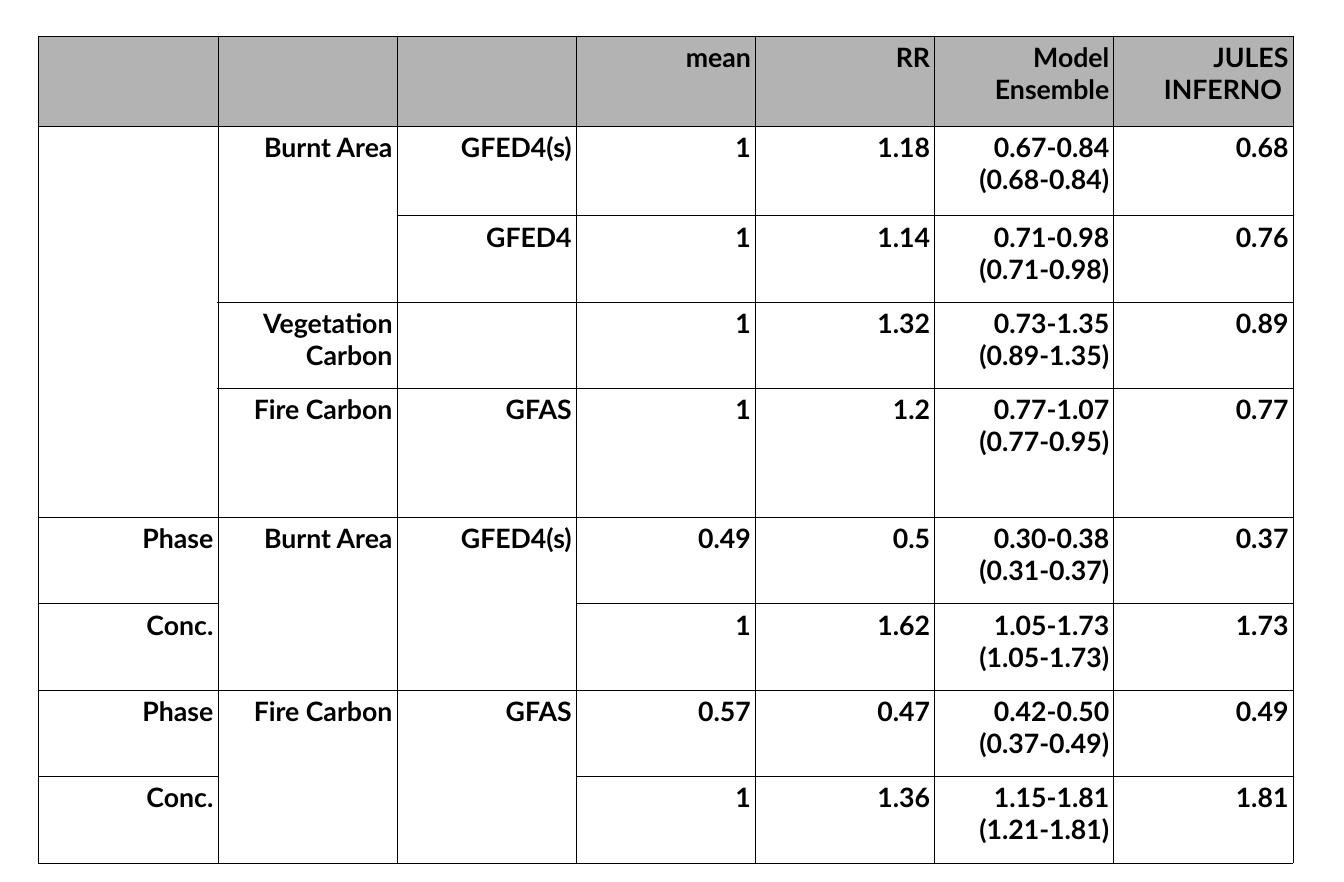
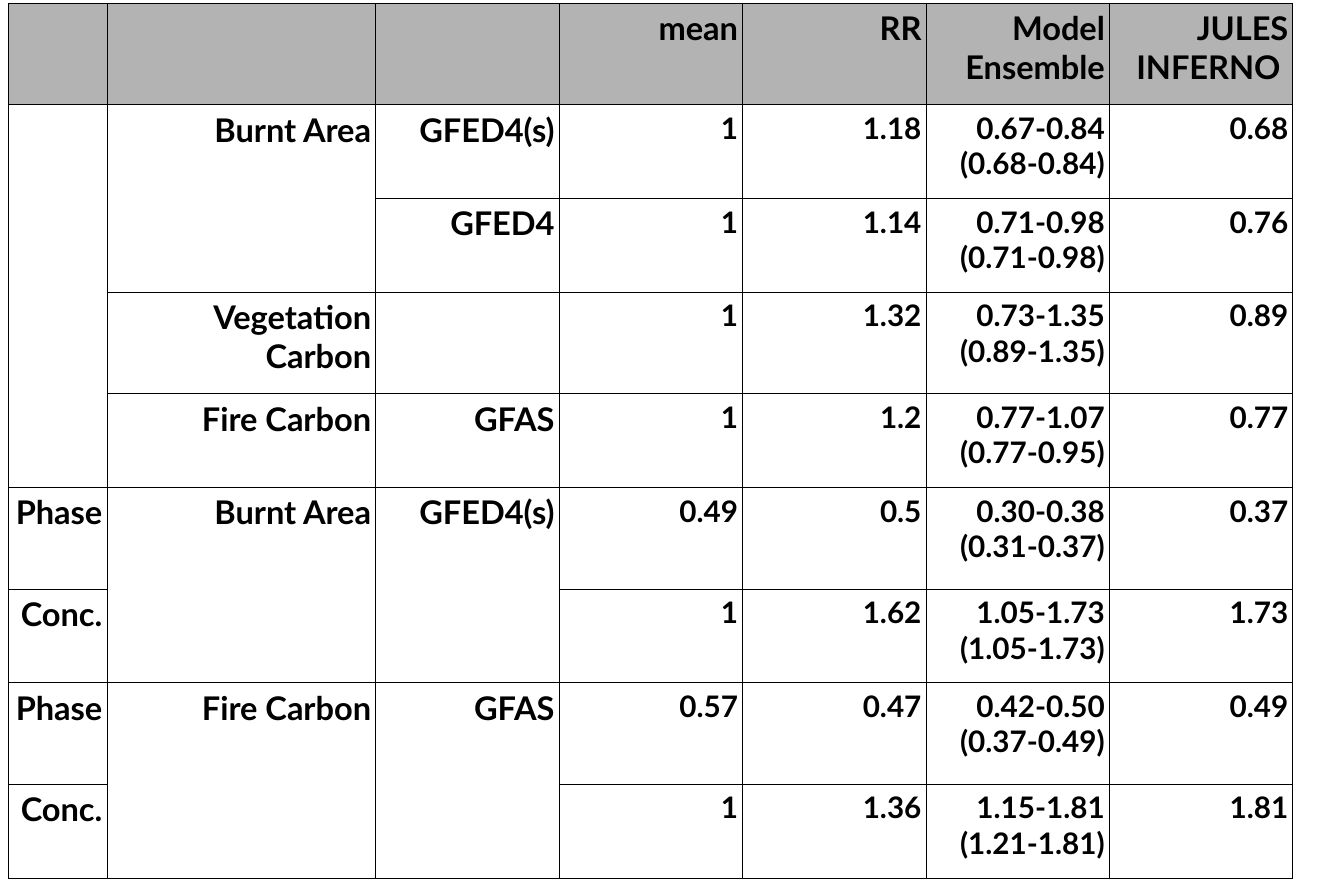
from dataclasses import dataclass

from lxml.etree import SubElement
from pptx import Presentation
from pptx.dml.color import RGBColor
from pptx.enum.text import PP_ALIGN
from pptx.oxml.ns import qn
from pptx.util import Inches, Pt


@dataclass(frozen=True)
class Theme:
    font: str = "Lato"
    ink: str = "000000"
    header: str = "B3B3B3"
    body: str = "FFFFFF"
    border: float = 0.06
    inset_x: float = 0.04
    inset_y: float = 0.05
    small: int = 18
    medium: int = 20
    large: int = 22


THEME = Theme()
LABEL_COLS = 3

# None continues the cell above; a line break starts a new paragraph
SCORES = [
    ["", "", "", "mean", "RR", "Model Ensemble", "JULES\nINFERNO "],
    ["", "Burnt Area", "GFED4(s)", "1", "1.18", "0.67-0.84\n(0.68-0.84)", "0.68"],
    [None, None, "GFED4", "1", "1.14", "0.71-0.98\n(0.71-0.98)", "0.76"],
    [None, "Vegetation Carbon", "", "1", "1.32", "0.73-1.35\n(0.89-1.35)", "0.89"],
    [None, "Fire Carbon", "GFAS", "1", "1.2", "0.77-1.07\n(0.77-0.95)", "0.77"],
    ["Phase", "Burnt Area", "GFED4(s)", "0.49", "0.5", "0.30-0.38\n(0.31-0.37)", "0.37"],
    ["Conc.", None, None, "1", "1.62", "1.05-1.73\n(1.05-1.73)", "1.73"],
    ["Phase", "Fire Carbon", "GFAS", "0.57", "0.47", "0.42-0.50\n(0.37-0.49)", "0.49"],
    ["Conc.", None, None, "1", "1.36", "1.15-1.81\n(1.21-1.81)", "1.81"],
]


def write(tf, text, size, color=THEME.ink, bold=True, align=PP_ALIGN.RIGHT):
    for i, line in enumerate(text.split("\n")):
        p = tf.paragraphs[0] if i == 0 else tf.add_paragraph()
        p.alignment = align
        p.font.size = Pt(size)
        if line:
            r = p.add_run()
            r.text = line
            r.font.name = THEME.font
            r.font.size = Pt(size)
            r.font.bold = bold
            r.font.color.rgb = RGBColor.from_string(color)


def style_cell(cell, fill):
    cell.margin_left = cell.margin_right = Inches(THEME.inset_x)
    cell.margin_top = cell.margin_bottom = Inches(THEME.inset_y)
    # Borders come before the fill in the cell properties
    tc_pr = cell._tc.get_or_add_tcPr()
    for side in ("lnL", "lnR", "lnT", "lnB"):
        ln = SubElement(tc_pr, qn(f"a:{side}"), w=str(Pt(THEME.border)))
        solid = SubElement(ln, qn("a:solidFill"))
        SubElement(solid, qn("a:srgbClr"), val=THEME.ink)
    cell.fill.solid()
    cell.fill.fore_color.rgb = RGBColor.from_string(fill)


def merge_continued(table, rows):
    for c in range(len(rows[0])):
        start = 0
        for r in range(1, len(rows) + 1):
            if r < len(rows) and rows[r][c] is None:
                continue
            if r - start > 1:
                table.cell(start, c).merge(table.cell(r - 1, c))
            start = r


def add_score_table(s, left, top, widths, heights, label_size, value_size):
    table = s.shapes.add_table(
        len(SCORES), len(SCORES[0]), Inches(left), Inches(top),
        Inches(sum(widths)), Inches(sum(heights))).table
    table.first_row = table.horz_banding = False
    for col, width in zip(table.columns, widths):
        col.width = Inches(width)
    for row, height in zip(table.rows, heights):
        row.height = Inches(height)
    for r, texts in enumerate(SCORES):
        for c, text in enumerate(texts):
            cell = table.cell(r, c)
            style_cell(cell, THEME.body if r else THEME.header)
            is_label = r == 0 or c < LABEL_COLS
            write(cell.text_frame, text or "", label_size if is_label else value_size)
    merge_continued(table, SCORES)


def main():
    prs = Presentation()
    prs.slide_width, prs.slide_height = Inches(12.6), Inches(8.27)
    blank = prs.slide_layouts[6]

    # Equal columns, one type size
    add_score_table(prs.slides.add_slide(blank), 0.36, 0.34,
                    widths=[1.68] * 7,
                    heights=[0.84] * 2 + [0.81] * 2 + [1.21] + [0.81] * 4,
                    label_size=THEME.small, value_size=THEME.small)

    # Larger type, narrow first column
    tall, short = 0.95, 0.88
    add_score_table(prs.slides.add_slide(blank), 0.08, 0.03,
                    widths=[0.92, 2.52] + [1.72] * 5,
                    heights=[tall, short, short] + [tall, short] * 3,
                    label_size=THEME.large, value_size=THEME.medium)

    prs.save("out.pptx")


if __name__ == "__main__":
    main()
